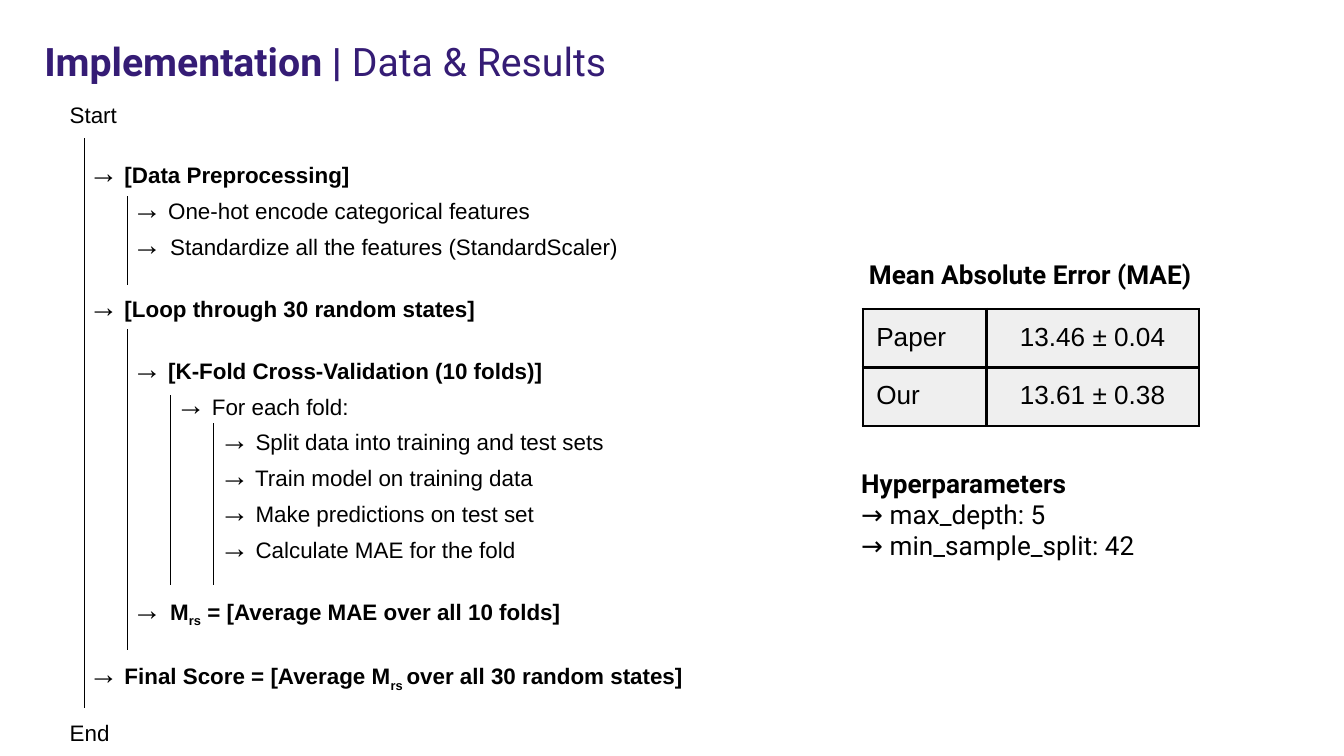
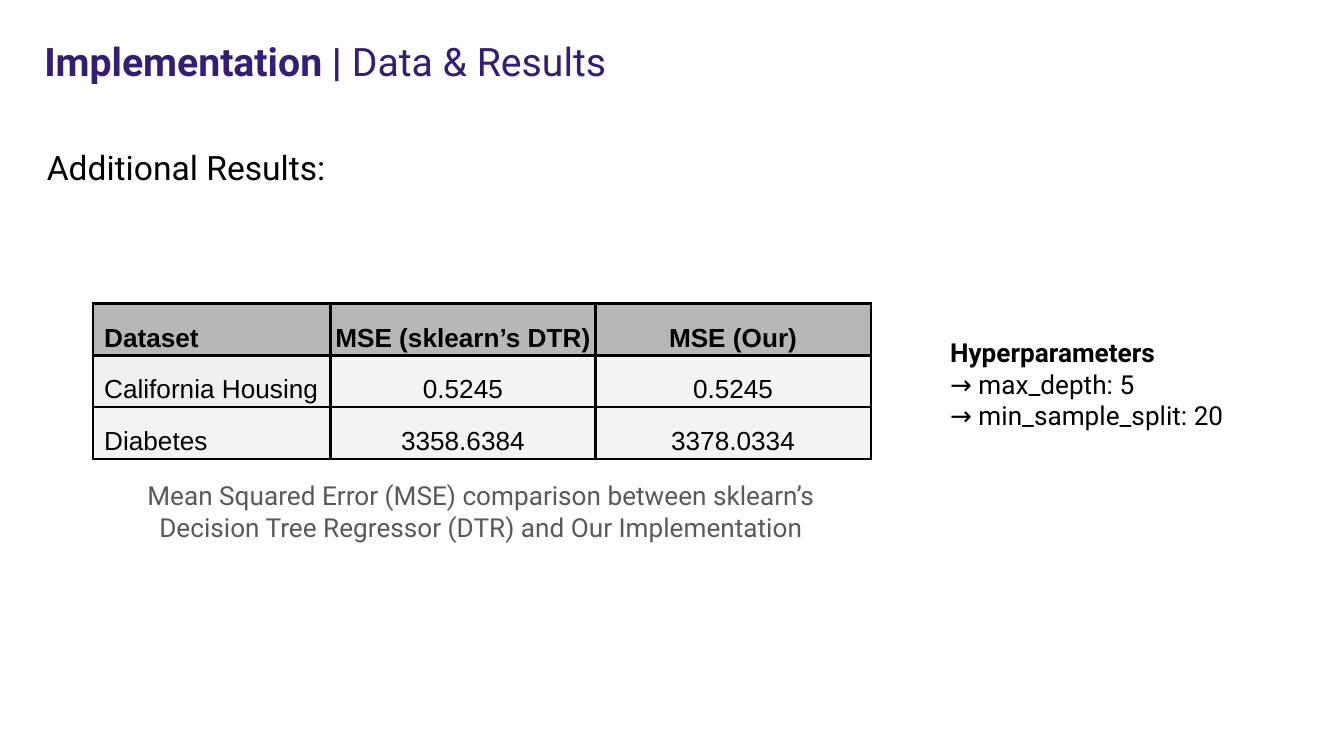
from lxml import etree
from pptx import Presentation
from pptx.dml.color import RGBColor
from pptx.enum.shapes import MSO_CONNECTOR
from pptx.enum.text import MSO_ANCHOR, PP_ALIGN
from pptx.oxml.ns import qn
from pptx.util import Emu, Pt

LEFT, CENTER = PP_ALIGN.LEFT, PP_ALIGN.CENTER
TOP, MIDDLE, BOTTOM = MSO_ANCHOR.TOP, MSO_ANCHOR.MIDDLE, MSO_ANCHOR.BOTTOM
STRAIGHT = MSO_CONNECTOR.STRAIGHT

PURPLE = RGBColor(0x35, 0x1C, 0x75)
BLACK = RGBColor(0x00, 0x00, 0x00)
GRAY = RGBColor(0x59, 0x59, 0x59)
HEADER = RGBColor(0xB7, 0xB7, 0xB7)
LIGHT = RGBColor(0xEF, 0xEF, 0xEF)
PALE = RGBColor(0xF3, 0xF3, 0xF3)

PX_PER_INCH = 200
HEADING, BODY = "Roboto", "Arial"
ARROW, WIDE_ARROW = "→", "→ "
STEP_INDENT, LEVEL_INDENT, STEP_GAP = 28, 65, 14

STEPS = [
    (0, 1, ARROW, [(" [Data Preprocessing]", {"bold": True})]),
    (1, 0, ARROW, [(" One-hot encode categorical features", {})]),
    (1, 0, WIDE_ARROW, [("Standardize all the features (StandardScaler)", {})]),
    (0, 1, ARROW, [(" [Loop through 30 random states]", {"bold": True})]),
    (1, 1, ARROW, [(" [K-Fold Cross-Validation (10 folds)]", {"bold": True})]),
    (2, 0, ARROW, [(" For each fold:", {})]),
    (3, 0, ARROW, [(" Split data into training and test sets", {})]),
    (3, 0, ARROW, [(" Train model on training data", {})]),
    (3, 0, ARROW, [(" Make predictions on test set", {})]),
    (3, 0, ARROW, [(" Calculate MAE for the fold", {})]),
    (1, 1, WIDE_ARROW, [("M", {"bold": True}),
                        ("rs", {"bold": True, "base": -25}),
                        (" = [Average MAE over all 10 folds]", {"bold": True})]),
    (0, 1, ARROW, [(" Final Score = [Average M", {"bold": True}),
                   ("rs ", {"bold": True, "base": -25}),
                   ("over all 30 random states]", {"bold": True})]),
]

BRACKETS = [(0, 206, 1054), (1, 490, 968), (2, 588, 870), (3, 630, 870), (1, 292, 424)]


def px(n):
    return Emu(n * 914400 // PX_PER_INCH)


def add_run(p, text, size=14, font=HEADING, color=BLACK, bold=False, base=0):
    r = p.add_run()
    r.text = text
    r.font.size = Pt(size)
    r.font.name = font
    r.font.bold = bold
    r.font.color.rgb = color
    if base:
        r.font._element.set("baseline", str(base * 1000))


class Deck:
    def __init__(self):
        self.prs = Presentation()
        self.prs.slide_width, self.prs.slide_height = px(2000), px(1125)

    def slide(self):
        self.s = self.prs.slides.add_slide(self.prs.slide_layouts[6])
        tf = self.box(66, 28, 1868, 126, inset=0, anchor=MIDDLE)
        self.para(tf, [("Implementation | ", {"bold": True}), ("Data & Results", {})],
                  size=21, color=PURPLE)

    def box(self, x, y, w, h, inset=20, anchor=TOP):
        tf = self.s.shapes.add_textbox(px(x), px(y), px(w), px(h)).text_frame
        tf.word_wrap = True
        tf.vertical_anchor = anchor
        tf.margin_left = tf.margin_right = tf.margin_top = tf.margin_bottom = px(inset)
        return tf

    def para(self, tf, runs, align=LEFT, spacing=None, before=0, indent=0, **style):
        p = tf.paragraphs[0]
        if p.runs:
            p = tf.add_paragraph()
        p.alignment = align
        p.space_before = Pt(before)
        if spacing:
            p.line_spacing = spacing
        if indent:
            p._p.get_or_add_pPr().set("marL", str(px(indent)))
        for text, fmt in runs:
            add_run(p, text, **{**style, **fmt})

    def text(self, x, y, w, h, text, align=LEFT, **style):
        self.para(self.box(x, y, w, h), [(text, {})], align, **style)

    def hyperparameters(self, x, y, w, split):
        tf = self.box(x, y, w, 254)
        self.para(tf, [("Hyperparameters", {"bold": True})], spacing=1.15)
        for line in ("→ max_depth: 5", f"→ min_sample_split: {split}"):
            self.para(tf, [(line, {})])

    def steps(self, x, y, w, h):
        tf = self.box(x, y, w, h)
        self.para(tf, [("Start", {})], size=12, font=BODY)
        for level, gap, arrow, runs in STEPS:
            self.para(tf, [(arrow, {"size": 16})] + runs, before=gap * STEP_GAP,
                      indent=STEP_INDENT + level * LEVEL_INDENT, size=12, font=BODY)
        self.para(tf, [("End", {})], before=STEP_GAP, size=12, font=BODY)

    def vline(self, x, top, bottom):
        c = self.s.shapes.add_connector(STRAIGHT, px(x), px(top), px(x), px(bottom))
        c.line.color.rgb = BLACK
        c.line.width = Pt(0.75)
        etree.SubElement(c._element.spPr, qn("a:effectLst"))

    def borders(self, cell):
        tcPr = cell._tc.get_or_add_tcPr()
        for i, side in enumerate(("lnL", "lnR", "lnT", "lnB")):
            ln = etree.Element(qn(f"a:{side}"), w=str(Pt(1.5)))
            fill = etree.SubElement(ln, qn("a:solidFill"))
            etree.SubElement(fill, qn("a:srgbClr"), val=str(BLACK))
            tcPr.insert(i, ln)

    def table(self, x, y, cols, row_h, rows, fills, pad_x=20, pad_y=20, first_pad=20,
              anchor=TOP, spacing=None, header=False):
        t = self.s.shapes.add_table(len(rows), len(cols), px(x), px(y),
                                    px(sum(cols)), px(row_h * len(rows))).table
        t.first_row = header
        t.horz_banding = False
        for col, w in zip(t.columns, cols):
            col.width = px(w)
        for i, row in enumerate(rows):
            t.rows[i].height = px(row_h)
            for j, text in enumerate(row):
                cell = t.cell(i, j)
                cell.margin_left = px(pad_x if j else first_pad)
                cell.margin_right = px(pad_x)
                cell.margin_top = cell.margin_bottom = px(pad_y)
                cell.vertical_anchor = anchor
                cell.fill.solid()
                cell.fill.fore_color.rgb = fills[i][j]
                self.borders(cell)
                self.para(cell.text_frame, [(text, {})], CENTER if j else LEFT, spacing,
                          font=BODY, bold=header and i == 0)


def main():
    d = Deck()

    d.slide()
    d.steps(84, 130, 1062, 1050)
    for level, top, bottom in BRACKETS:
        d.vline(126 + 64 * level, top, bottom)
    d.table(1284, 460, [184, 316], 87,
            [["Paper", "13.46 ± 0.04"], ["Our", "13.61 ± 0.38"]], [[LIGHT] * 2] * 2)
    d.text(1254, 364, 558, 76, "Mean Absolute Error (MAE)", CENTER, bold=True)
    d.hyperparameters(1262, 668, 606, 42)

    d.slide()
    d.table(138, 452, [354, 394, 410], 77,
            [["Dataset", "MSE (sklearn’s DTR)", "MSE (Our)"],
             ["California Housing", "0.5245", "0.5245"],
             ["Diabetes", "3358.6384", "3378.0334"]],
            [[HEADER] * 3, [LIGHT, PALE, PALE], [PALE] * 3],
            pad_x=6, pad_y=4, first_pad=17, anchor=BOTTOM, spacing=1.15, header=True)
    d.text(50, 198, 658, 110, "Additional Results:", size=18)
    d.hyperparameters(1394, 474, 490, 20)
    d.text(142, 694, 1148, 136, "Mean Squared Error (MSE) comparison between sklearn’s "
           "Decision Tree Regressor (DTR) and Our Implementation", CENTER, color=GRAY)

    d.prs.save("out.pptx")


if __name__ == "__main__":
    main()
